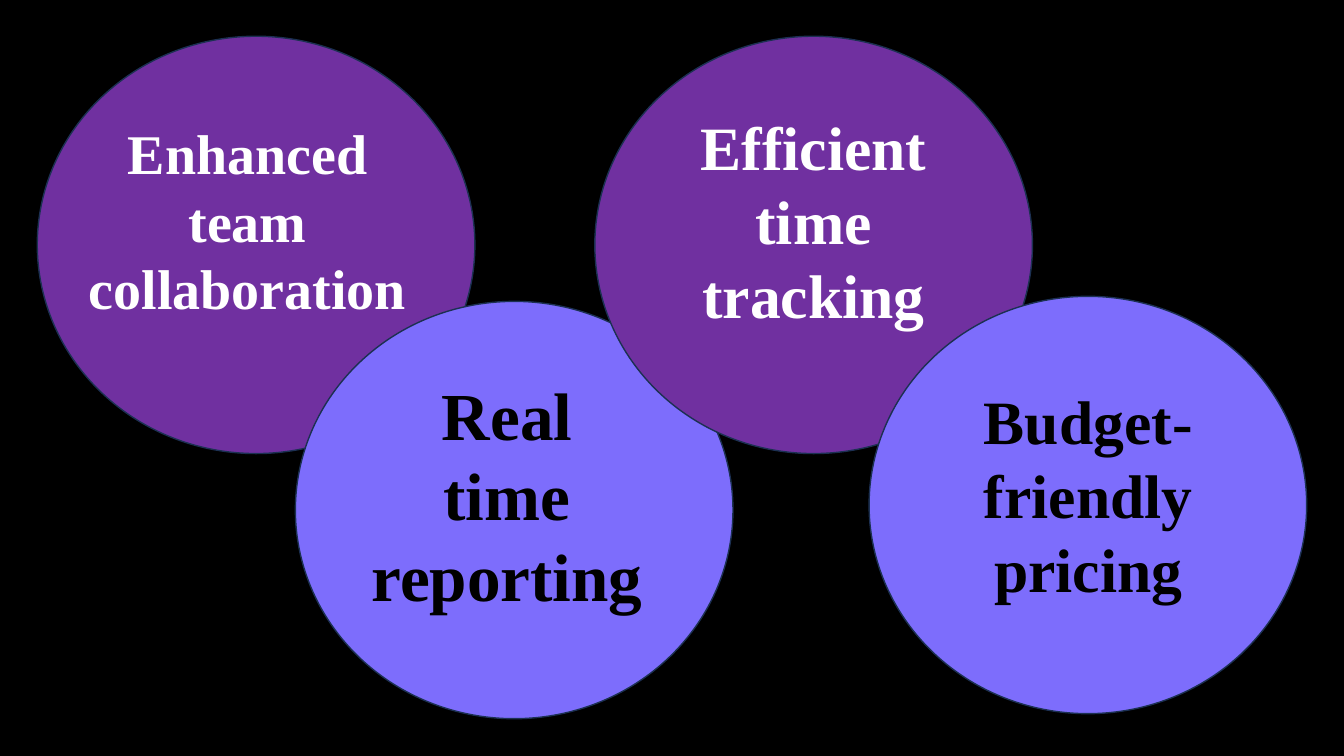
from dataclasses import dataclass

from pptx import Presentation
from pptx.dml.color import RGBColor
from pptx.enum.shapes import MSO_SHAPE
from pptx.enum.text import MSO_ANCHOR, MSO_AUTO_SIZE, PP_ALIGN
from pptx.slide import Slide
from pptx.util import Inches, Pt

BLACK = RGBColor(0x00, 0x00, 0x00)
WHITE = RGBColor(0xFF, 0xFF, 0xFF)
PURPLE = RGBColor(0x70, 0x30, 0xA0)
PERIWINKLE = RGBColor(0x7D, 0x6D, 0xFC)
OUTLINE = RGBColor(0x1C, 0x30, 0x52)

FONT = "Times New Roman"
CIRCLE_WIDTH = Inches(4.34)
CIRCLE_HEIGHT = Inches(4.14)


@dataclass(frozen=True)
class Benefit:
    """A labelled circle; positions and lengths are in inches, size in points."""
    text: str
    circle_at: tuple[float, float]
    label_at: tuple[float, float, float, float]
    size: int
    fill: RGBColor
    ink: RGBColor


BENEFITS = [
    Benefit("Enhanced team collaboration", (0.37, 0.36), (0.74, 1.13, 3.43, 2.12),
            40, PURPLE, WHITE),
    Benefit("Real time reporting", (2.93, 2.99), (3.58, 3.65, 2.9, 2.52),
            48, PERIWINKLE, BLACK),
    Benefit("Efficient time tracking", (5.9, 0.36), (6.68, 1.03, 2.78, 2.32),
            44, PURPLE, WHITE),
    Benefit("Budget-friendly pricing", (8.62, 2.94), (9.33, 3.75, 2.93, 2.32),
            44, PERIWINKLE, BLACK),
]


def add_benefit(page: Slide, benefit: Benefit) -> None:
    group = page.shapes.add_group_shape()

    left, top = map(Inches, benefit.circle_at)
    circle = group.shapes.add_shape(MSO_SHAPE.OVAL, left, top, CIRCLE_WIDTH, CIRCLE_HEIGHT)
    circle.shadow.inherit = False
    circle.fill.solid()
    circle.fill.fore_color.rgb = benefit.fill
    circle.line.color.rgb = OUTLINE
    circle.line.width = Pt(1)

    label = group.shapes.add_textbox(*map(Inches, benefit.label_at))
    frame = label.text_frame
    frame.word_wrap = True
    frame.auto_size = MSO_AUTO_SIZE.SHAPE_TO_FIT_TEXT
    frame.vertical_anchor = MSO_ANCHOR.TOP
    frame.text = benefit.text
    para = frame.paragraphs[0]
    para.alignment = PP_ALIGN.CENTER
    font = para.runs[0].font
    font.name = FONT
    font.size = Pt(benefit.size)
    font.bold = True
    font.color.rgb = benefit.ink


def main() -> None:
    deck = Presentation()
    deck.slide_width = Inches(13.33)
    deck.slide_height = Inches(7.5)
    blank_layout = deck.slide_layouts.get_by_name("Blank")
    page = deck.slides.add_slide(blank_layout)
    page.background.fill.solid()
    page.background.fill.fore_color.rgb = BLACK
    for benefit in BENEFITS:
        add_benefit(page, benefit)
    deck.save("out.pptx")


if __name__ == "__main__":
    main()
